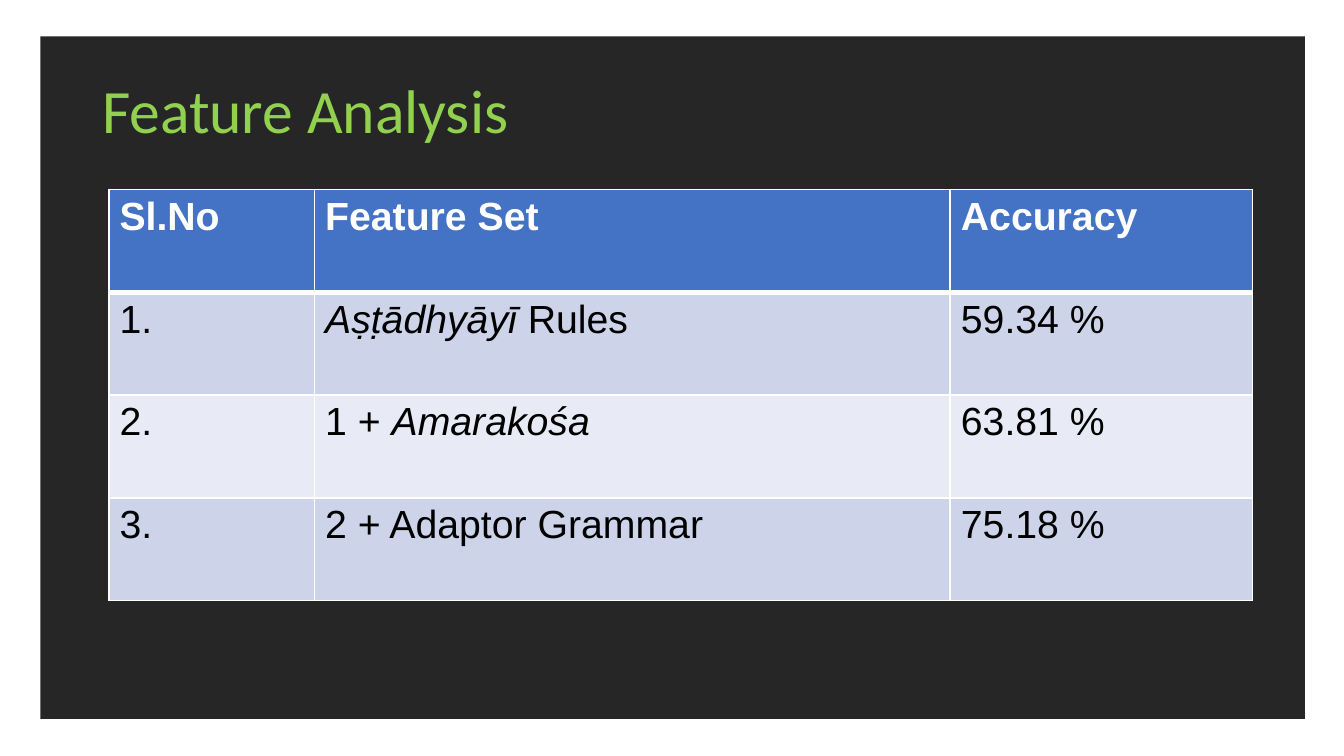
import pptx
import pptx.dml.color
import pptx.enum.shapes
import pptx.enum.text
import pptx.oxml
import pptx.oxml.ns
import pptx.util
from pptx.dml.color import RGBColor
from pptx.util import Inches

WHITE = RGBColor(0xFF, 0xFF, 0xFF)
BLACK = RGBColor(0x00, 0x00, 0x00)
PANEL = RGBColor(0x26, 0x26, 0x26)
GREEN = RGBColor(0x92, 0xD0, 0x50)
HEADER = RGBColor(0x44, 0x72, 0xC4)
BANDS = (RGBColor(0xCD, 0xD4, 0xEA), RGBColor(0xE8, 0xEB, 0xF5))

COLUMN_WIDTHS = (1.53, 4.73, 2.25)
HEADINGS = ("Sl.No", "Feature Set", "Accuracy")
RESULTS = (
    ("1.", (("Aṣṭādhyāyī ", True), ("Rules", False)), "59.34 %"),
    ("2.", (("1 + ", False), ("Amarakośa", True)), "63.81 %"),
    ("3.", "2 + Adaptor Grammar", "75.18 %"),
)


def add_panel(slide, left, top, width, height):
    """Place the dark panel behind everything else."""
    panel = slide.shapes.add_shape(
        pptx.enum.shapes.MSO_SHAPE.RECTANGLE,
        Inches(left), Inches(top), Inches(width), Inches(height))
    panel.shadow.inherit = False
    panel.fill.solid()
    panel.fill.fore_color.rgb = PANEL
    panel.line.fill.background()
    slide.shapes._spTree.insert(2, panel._element)


def add_title(slide, left, top, width, height):
    """Fill and place the title placeholder."""
    title = slide.shapes.title
    title.left, title.top = Inches(left), Inches(top)
    title.width, title.height = Inches(width), Inches(height)
    frame = title.text_frame
    frame.text = "Feature Analysis"
    frame.auto_size = pptx.enum.text.MSO_AUTO_SIZE.NONE
    frame.vertical_anchor = pptx.enum.text.MSO_ANCHOR.MIDDLE
    frame.margin_left = frame.margin_right = Inches(0.07)
    frame.margin_top = frame.margin_bottom = Inches(0.04)
    paragraph = frame.paragraphs[0]
    paragraph.alignment = pptx.enum.text.PP_ALIGN.LEFT
    paragraph.line_spacing = 0.9
    font = paragraph.runs[0].font
    font.name, font.size = "Calibri", pptx.util.Pt(33)
    font.color.rgb = GREEN


def set_borders(cell, top, bottom):
    """Draw white cell borders, with the top and bottom widths in points."""
    properties = cell._tc.get_or_add_tcPr()
    widths = (("L", 1), ("R", 1), ("T", top), ("B", bottom))
    for index, (side, width) in enumerate(widths):
        properties.insert(index, pptx.oxml.parse_xml(
            f'<a:ln{side} {pptx.oxml.ns.nsdecls("a")} w="{pptx.util.Pt(width)}">'
            f'<a:solidFill><a:srgbClr val="{WHITE}"/></a:solidFill></a:ln{side}>'))


def fill_cell(cell, content, fill, color, bold):
    """Write plain text or (text, italic) pieces into a cell and colour it."""
    cell.margin_left = cell.margin_right = Inches(0.08)
    cell.margin_top = cell.margin_bottom = Inches(0.04)
    cell.fill.solid()
    cell.fill.fore_color.rgb = fill
    pieces = ((content, False),) if isinstance(content, str) else content
    for text, italic in pieces:
        run = cell.text_frame.paragraphs[0].add_run()
        run.text = text
        font = run.font
        font.name, font.size = "Arial", pptx.util.Pt(21)
        font.bold, font.italic = bold, italic
        font.color.rgb = color


def add_results_table(slide, left, top, width, height):
    """Place the table of feature sets and their accuracy."""
    rows = (HEADINGS,) + RESULTS
    table = slide.shapes.add_table(
        len(rows), len(HEADINGS),
        Inches(left), Inches(top), Inches(width), Inches(height)).table
    for column, share in zip(table.columns, COLUMN_WIDTHS):
        column.width = Inches(width * share / sum(COLUMN_WIDTHS))
    for row_index, row in enumerate(rows):
        is_header = row_index == 0
        fill = HEADER if is_header else BANDS[(row_index - 1) % 2]
        for column_index, content in enumerate(row):
            cell = table.cell(row_index, column_index)
            fill_cell(cell, content, fill, WHITE if is_header else BLACK, is_header)
            set_borders(cell, 3 if row_index == 1 else 1, 3 if is_header else 1)


def main():
    """Build and save the 16:9 slide."""
    deck = pptx.Presentation()
    deck.slide_width = Inches(10)
    deck.slide_height = deck.slide_width * 9 // 16
    slide = deck.slides.add_slide(deck.slide_layouts[5])
    add_panel(slide, 0.3, 0.27, 9.41, 5.08)
    add_title(slide, 0.69, 0.3, 8.62, 1.09)
    add_results_table(slide, 0.81, 1.41, 8.51, 3.06)
    deck.save("out.pptx")


if __name__ == "__main__":
    main()
